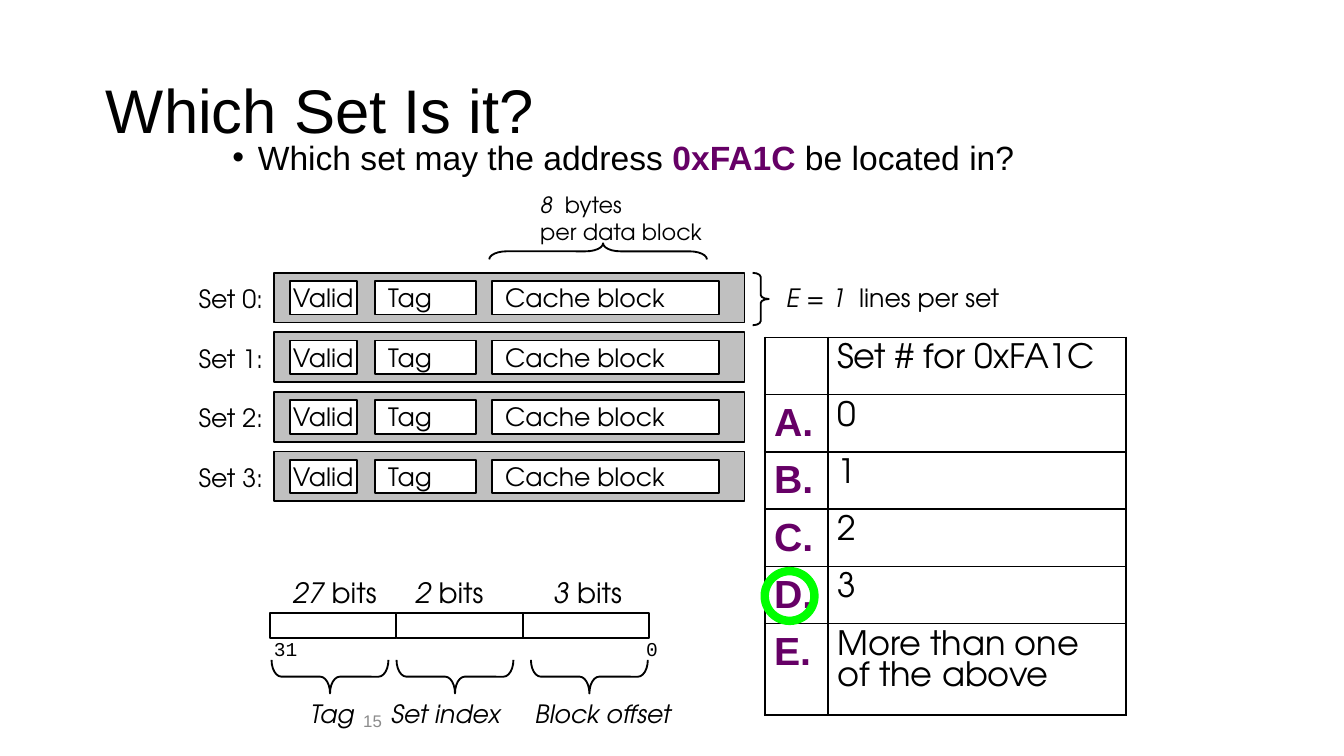
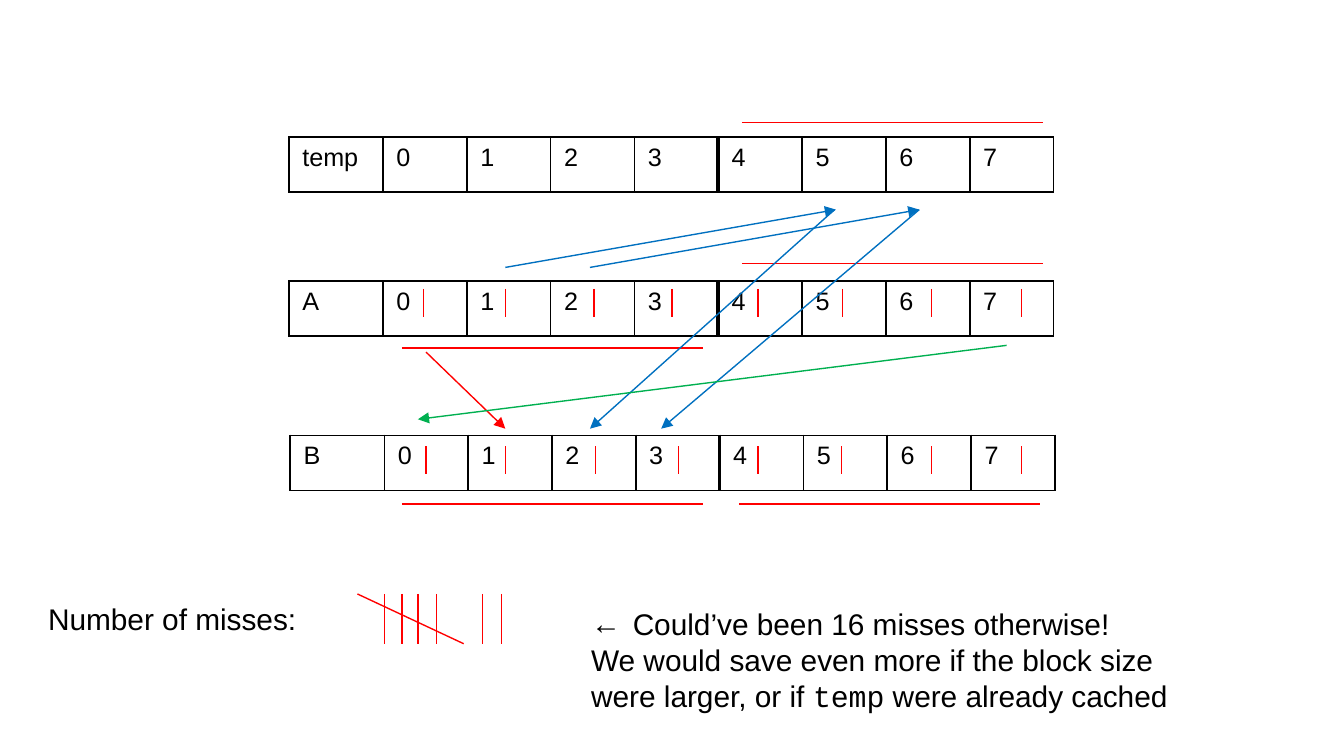
from lxml import etree
from pptx import Presentation
from pptx.dml.color import RGBColor
from pptx.enum.shapes import MSO_CONNECTOR, MSO_SHAPE
from pptx.enum.text import MSO_ANCHOR, MSO_AUTO_SIZE, PP_ALIGN
from pptx.oxml.ns import qn
from pptx.util import Inches, Pt

# Shared colours and fonts
color = RGBColor.from_string
BLACK, WHITE, GREY, PURPLE = "000000", "FFFFFF", "C0C0C0", "660066"
RED, BLUE, GREEN, LIME, PAGE_GREY = "FF0000", "0070C0", "00B050", "00FF00", "8B8B8B"
ARIAL, COURIER, ADVENTOR = "Arial", "Courier New", "TeX Gyre Adventor"
TOP, MIDDLE = MSO_ANCHOR.TOP, MSO_ANCHOR.MIDDLE
ITALIC = {"italic": True}


def write(frame, paragraphs, size, font=ARIAL, ink=BLACK):
    """Fill a text frame; each paragraph is a list of (text, style) runs."""
    for index, runs in enumerate(paragraphs):
        paragraph = frame.paragraphs[0] if index == 0 else frame.add_paragraph()
        paragraph.alignment = PP_ALIGN.LEFT
        for text, style in runs:
            run = paragraph.add_run()
            run.text = text
            run.font.size = Pt(size)
            run.font.name = style.get("font", font)
            run.font.bold = style.get("bold", False)
            run.font.italic = style.get("italic", False)
            run.font.color.rgb = color(style.get("ink", ink))


def set_borders(cell, left=0.96, right=0.96):
    """Draw black borders round a cell and clear its fill."""
    cell.fill.background()
    properties = cell._tc.get_or_add_tcPr()
    sides = (("a:lnL", left), ("a:lnR", right), ("a:lnT", 0.96), ("a:lnB", 0.96))
    for position, (side, width) in enumerate(sides):
        border = etree.Element(qn(side), w=str(Pt(width)))
        fill = etree.SubElement(border, qn("a:solidFill"))
        etree.SubElement(fill, qn("a:srgbClr"), val=BLACK)
        properties.insert(position, border)


# Widescreen, 16 to 9
presentation = Presentation()
presentation.slide_width = Inches(10)
presentation.slide_height = Inches(10 * 9 / 16)
blank = presentation.slide_layouts[6]
cache_slide = presentation.slides.add_slide(blank)
misses_slide = presentation.slides.add_slide(blank)

# Cache rows and address fields: left, top, width, height, fill, label, left inset
boxes = []
labels = []
ROW_TOP, ROW_PITCH = 2.03, 1.33 / 3
for row in range(4):
    top = ROW_TOP + row * ROW_PITCH
    boxes += [
        (2.04, top, 3.5, 0.37, GREY, "", 0.1),
        (2.16, top + 0.06, 0.5, 0.25, WHITE, "Valid", 0.02),
        (2.79, top + 0.06, 0.75, 0.25, WHITE, "Tag", 0.1),
        (3.66, top + 0.06, 1.69, 0.25, WHITE, "Cache block", 0.1),
    ]
    labels.append((1.38, top + 0.03, 0.68, 0.32, [[(f"Set {row}:", {})]],
                   13.5, ADVENTOR, MIDDLE, False, 0.1))
boxes += [(2.01 + 0.94 * field, 4.56, 0.94, 0.19, None, "", 0.1) for field in range(3)]

for left, top, width, height, fill, label, inset in boxes:
    shape = cache_slide.shapes.add_shape(
        MSO_SHAPE.RECTANGLE, Inches(left), Inches(top), Inches(width), Inches(height))
    shape.shadow.inherit = False
    shape.line.color.rgb = color(BLACK)
    shape.line.width = Pt(0.99)
    if fill:
        shape.fill.solid()
        shape.fill.fore_color.rgb = color(fill)
    else:
        shape.fill.background()
    if label:
        frame = shape.text_frame
        frame.word_wrap = False
        frame.margin_left = Inches(inset)
        frame.vertical_anchor = MIDDLE
        write(frame, [[(label, {})]], 13.5, ADVENTOR)

# Braces: left, top, width, height, rotation, curve, point
braces = [(5.6, 2.03, 0.12, 0.39, 0, 0.258, 0.5),
          (4.39, 1.06, 0.12, 1.62, 270, 1.083, 0.523)]
braces += [(left, 4.6, 0.25, 0.87, 90, 0.292, 0.5) for left in (2.33, 3.26, 4.26)]
for left, top, width, height, rotation, curve, point in braces:
    brace = cache_slide.shapes.add_shape(
        MSO_SHAPE.RIGHT_BRACE, Inches(left), Inches(top), Inches(width), Inches(height))
    brace.rotation = rotation
    brace.adjustments[0] = curve
    brace.adjustments[1] = point
    brace.shadow.inherit = False
    brace.fill.background()
    brace.line.color.rgb = color(BLACK)
    brace.line.width = Pt(0.99)

# Text: left, top, width, height, paragraphs, size, font, anchor, wrap, side inset
labels += [
    (5.75, 2.05, 1.82, 0.32, [[("E = 1", ITALIC), ("  lines per set", {})]],
     13.5, ADVENTOR, MIDDLE, False, 0.1),
    (3.92, 1.37, 1.45, 0.5, [[("8  ", ITALIC), ("bytes", {})], [("per data block", {})]],
     12, ADVENTOR, MIDDLE, False, 0.1),
    (4.71, 4.69, 0.3, 0.27, [[("0", {})]], 10.5, COURIER, MIDDLE, False, 0.1),
    (1.94, 4.69, 0.42, 0.27, [[("31", {})]], 10.5, COURIER, MIDDLE, False, 0.1),
]
for left, width, bits in ((2.11, 0.8, "27 "), (3.02, 0.68, "2 "), (4.05, 0.68, "3 ")):
    labels.append((left, 4.25, width, 0.32, [[(bits, ITALIC), ("bits", {})]],
                   15, ADVENTOR, TOP, False, 0.07))
for left, width, name, wrap in ((2.24, 0.52, "Tag", False), (2.84, 1.11, "Set index", True),
                                (3.91, 1.22, "Block offset", False)):
    labels.append((left, 5.16, width, 0.3, [[(name, ITALIC)]],
                   13.5, ADVENTOR, TOP, wrap, 0.07))

question = [[("Which set may the address ", {}), ("0xFA1C", {"ink": PURPLE, "bold": True}),
             (" be located in?", {})]]
savings = [[("Could’ve been 16 misses otherwise!", {})],
           [("We would save even more if the block size were larger, or if ", {}),
            ("temp", {"font": COURIER}), (" were already cached", {})]]
slide_texts = [(cache_slide, label) for label in labels] + [
    (cache_slide, (0.69, 0.3, 8.62, 1.09, [[("Which Set Is it?", {})]],
                   33, ARIAL, MIDDLE, True, 0.1)),
    (cache_slide, (1.25, 5.21, 1.69, 0.3, [[("15", {"ink": PAGE_GREY})]],
                   9, ARIAL, MIDDLE, True, 0.1)),
    (cache_slide, (1.63, 1, 6.62, 0.44, question, 18, ARIAL, TOP, True, 0.1)),
    (misses_slide, (0.26, 4.42, 2.4, 0.36, [[("Number of misses:", {})]],
                    16, ARIAL, TOP, True, 0.1)),
    (misses_slide, (4.3, 4.46, 4.69, 0.9, savings, 16, ARIAL, TOP, True, 0.1)),
]
first_paragraphs = {}
for slide, (left, top, width, height, paragraphs, size, font, anchor, wrap, inset) in slide_texts:
    box = slide.shapes.add_textbox(Inches(left), Inches(top), Inches(width), Inches(height))
    frame = box.text_frame
    frame.word_wrap = wrap
    frame.auto_size = MSO_AUTO_SIZE.NONE
    frame.vertical_anchor = anchor
    frame.margin_left = frame.margin_right = Inches(inset)
    frame.margin_top = frame.margin_bottom = Inches(inset / 2)
    write(frame, paragraphs, size, font)
    first_paragraphs[paragraphs[0][0][0]] = frame.paragraphs[0]

# Title, question and page number: spacing and alignment
first_paragraphs["Which Set Is it?"].line_spacing = 0.9
first_paragraphs[question[0][0][0]].line_spacing = 0.9
first_paragraphs["15"].alignment = PP_ALIGN.RIGHT

# Bullets
for text, mark, indent in ((question[0][0][0], "•", 0.19), (savings[0][0][0], "←", 0.31)):
    properties = first_paragraphs[text]._p.get_or_add_pPr()
    properties.set("marL", str(Inches(indent)))
    properties.set("indent", str(-Inches(indent)))
    bullet_color = etree.SubElement(properties, qn("a:buClr"))
    etree.SubElement(bullet_color, qn("a:srgbClr"), val=BLACK)
    etree.SubElement(properties, qn("a:buFont"), typeface=ARIAL)
    etree.SubElement(properties, qn("a:buChar"), char=mark)

# Answer table
answers = [("", "Set # for 0xFA1C"), ("A.", "0"), ("B.", "1"), ("C.", "2"), ("D.", "3"),
           ("E.", "More than one of the above")]
table_frame = cache_slide.shapes.add_table(
    6, 2, Inches(5.69), Inches(2.51), Inches(2.69), Inches(2.92))
table = table_frame.table
table.first_row = table.horz_banding = False
for column, width in enumerate((0.47, 2.22)):
    table.columns[column].width = Inches(width)
for row, height in enumerate([2.13 / 5] * 5 + [0.68]):
    table.rows[row].height = Inches(height)
    for column, text in enumerate(answers[row]):
        cell = table.cell(row, column)
        cell.margin_left = cell.margin_right = Inches(0.07)
        set_borders(cell)
        if column == 0 and text:
            cell.margin_bottom = Inches(0.02)
            write(cell.text_frame, [[(text, {"bold": True})]], 21, ARIAL, PURPLE)
        elif text:
            write(cell.text_frame, [[(text, {})]], 18, ADVENTOR)
table_frame.height = Inches(2.92)

# Ring round the right answer
ring = cache_slide.shapes.add_shape(
    MSO_SHAPE.OVAL, Inches(5.69), Inches(4.25), Inches(0.37), Inches(0.37))
ring.shadow.inherit = False
ring.fill.background()
ring.line.color.rgb = color(LIME)
ring.line.width = Pt(4.51)

# Array tables, with a thick border between the two cache blocks
for name, left, top in (("temp", 2.15, 1.02), ("A", 2.15, 2.09), ("B", 2.16, 3.24)):
    table = misses_slide.shapes.add_table(
        1, 9, Inches(left), Inches(top), Inches(5.69), Inches(0.41)).table
    table.first_row = table.horz_banding = False
    table.rows[0].height = Inches(0.41)
    for column, text in enumerate([name, *"01234567"]):
        table.columns[column].width = Inches(0.7 if column == 0 else (5.69 - 0.7) / 8)
        cell = table.cell(0, column)
        set_borders(cell, left=2.21 if column == 5 else 0.96,
                    right=2.21 if column == 4 else 0.96)
        write(cell.text_frame, [[(text, {})]], 13.5)

# Lines: start x, start y, end x, end y, colour, arrowhead
lines = []
access_ticks = ((2.15, (3.15, 3.76, 4.42, 5, 5.64, 6.27, 6.93, 7.6)),
                (3.32, (3.17, 3.76, 4.43, 5.05, 5.64, 6.26, 6.93, 7.6)))
for top, ticks in access_ticks:
    lines += [(x, top, x, top + 0.21, RED, False) for x in ticks]
# Tally of misses
lines += [(x, 4.42, x, 4.79, RED, False) for x in (2.86, 2.99, 3.11, 3.25, 3.59, 3.73)]
lines.append((2.66, 4.42, 3.45, 4.79, RED, False))
# Loaded blocks
for left, y in ((5.52, 0.91), (5.52, 1.96), (2.99, 2.59), (2.99, 3.75), (5.5, 3.75)):
    lines.append((left, y, left + 2.24, y, RED, False))
# Copies between arrays
lines += [
    (4.39, 1.99, 6.84, 1.56, BLUE, True),
    (3.76, 1.99, 6.22, 1.56, BLUE, True),
    (6.84, 1.56, 4.92, 3.19, BLUE, True),
    (6.21, 1.56, 4.39, 3.19, BLUE, True),
    (3.17, 2.62, 3.76, 3.19, RED, True),
    (7.49, 2.57, 3.11, 3.12, GREEN, True),
]
for start_x, start_y, end_x, end_y, ink, arrow in lines:
    connector = misses_slide.shapes.add_connector(
        MSO_CONNECTOR.STRAIGHT, Inches(start_x), Inches(start_y), Inches(end_x), Inches(end_y))
    connector.line.color.rgb = color(ink)
    connector.line.width = Pt(0.75)
    element = connector._element
    element.remove(element.find(qn("p:style")))
    properties = element.spPr
    if arrow:
        etree.SubElement(properties.find(qn("a:ln")), qn("a:tailEnd"), type="triangle")
    etree.SubElement(properties, qn("a:effectLst"))

presentation.save("out.pptx")
